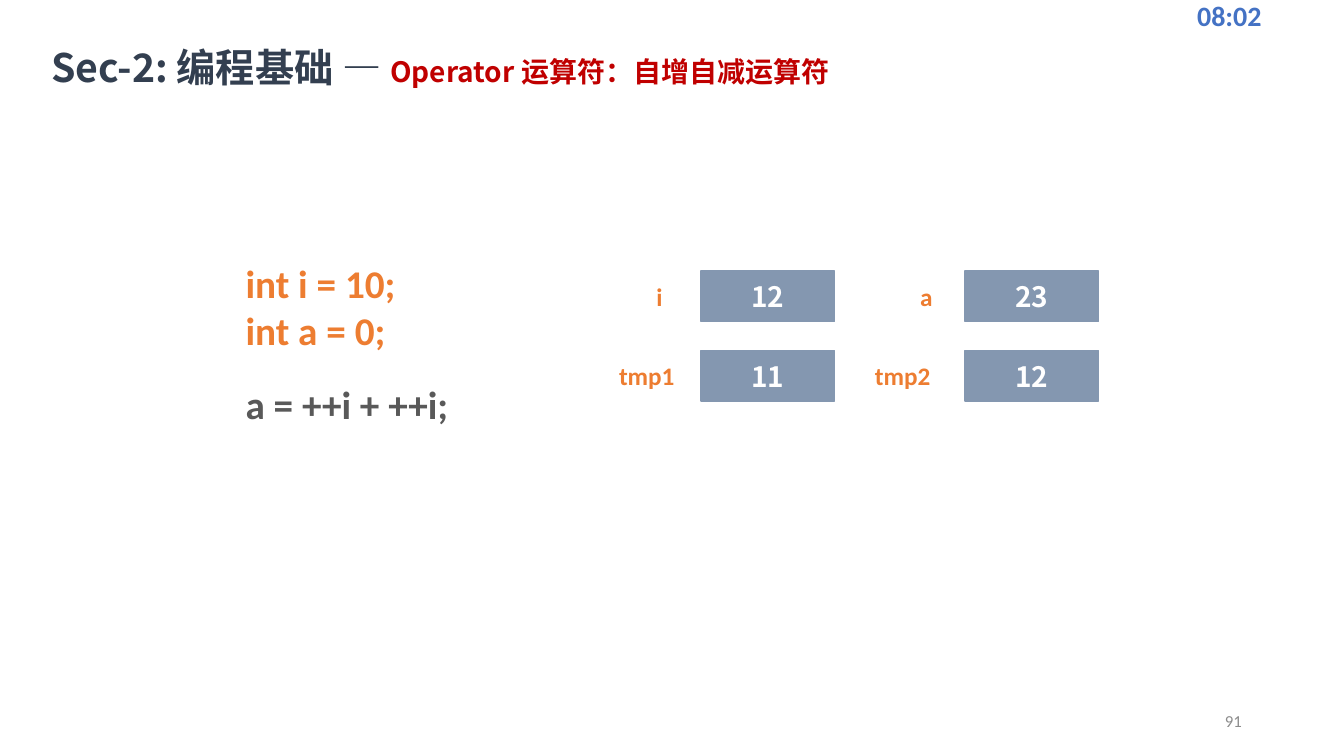
import pptx
import pptx.dml.color
import pptx.enum.shapes
import pptx.enum.text
import pptx.oxml
import pptx.oxml.ns
import pptx.util

Cm, Pt = pptx.util.Cm, pptx.util.Pt
ALIGN = pptx.enum.text.PP_ALIGN
ANCHOR = pptx.enum.text.MSO_ANCHOR
LATIN, CJK = "Calibri", "Noto Sans CJK SC"
ORANGE, SLATE = "ED7D31", "8497B0"


def rgb(value):
    return pptx.dml.color.RGBColor.from_string(value)


def add_run(p, text, size=18, color=ORANGE, bold=True, font=LATIN):
    r = p.add_run()
    r.text = text
    r.font.name, r.font.size, r.font.bold = font, Pt(size), bold
    r.font.color.rgb = rgb(color)
    if font == CJK:
        ea = pptx.oxml.parse_xml(
            f'<a:ea {pptx.oxml.ns.nsdecls("a")} typeface="{font}"/>')
        r.font._element.find(pptx.oxml.ns.qn("a:latin")).addnext(ea)


def set_frame(tf, margin_x=0.25, margin_y=0.13, anchor=ANCHOR.TOP, wrap=True):
    tf.word_wrap, tf.vertical_anchor = wrap, anchor
    tf.auto_size = pptx.enum.text.MSO_AUTO_SIZE.NONE
    tf.margin_left = tf.margin_right = Cm(margin_x)
    tf.margin_top = tf.margin_bottom = Cm(margin_y)


def add_text(s, x, y, w, h, text, align=ALIGN.LEFT, anchor=ANCHOR.TOP, **fmt):
    tf = s.shapes.add_textbox(Cm(x), Cm(y), Cm(w), Cm(h)).text_frame
    set_frame(tf, anchor=anchor)
    p = tf.paragraphs[0]
    p.alignment = align
    add_run(p, text, **fmt)
    return tf


def add_title(s):
    sp = s.shapes.title
    sp.left, sp.top, sp.width, sp.height = Cm(1.29), Cm(1.07), Cm(21.46), Cm(1.22)
    set_frame(sp.text_frame, margin_x=0, margin_y=0.03)
    p = sp.text_frame.paragraphs[0]
    p.alignment = ALIGN.LEFT
    add_run(p, "Sec-2: 编程基础 — ", size=28, color="333F50", font=CJK)
    add_run(p, "Operator 运算符：自增自减运算符", size=20, color="C00000", font=CJK)


def add_code(s):
    tf = add_text(s, 5.94, 6.4, 12.7, 4.52, "int i = 10;", size=28)
    add_run(tf.add_paragraph(), "int a = 0;", size=28)
    p = tf.add_paragraph()
    p.space_before = Pt(19.5)
    add_run(p, "a = ++i + ++i;", size=28, color="595959")


def add_variable(s, x, y, name, name_right, value):
    """Draw a memory cell with its name ending at name_right."""
    sp = s.shapes.add_shape(pptx.enum.shapes.MSO_SHAPE.RECTANGLE,
                            Cm(x), Cm(y), Cm(3.36), Cm(1.28))
    sp.shadow.inherit = False
    sp.fill.solid()
    sp.fill.fore_color.rgb = sp.line.color.rgb = rgb(SLATE)
    sp.line.width = Pt(1)
    set_frame(sp.text_frame, anchor=ANCHOR.MIDDLE)
    p = sp.text_frame.paragraphs[0]
    p.alignment = ALIGN.CENTER
    add_run(p, value, size=20, color="FFFFFF", font=CJK)
    width = 2.6
    add_text(s, name_right + 0.25 - width, y + 0.13, width, 1.02, name,
             align=ALIGN.RIGHT)


def main():
    prs = pptx.Presentation()
    prs.slide_width, prs.slide_height = Cm(33.87), Cm(19.05)
    s = prs.slides.add_slide(prs.slide_layouts[5])
    add_title(s)
    add_text(s, 29.92, -0.13, 4.52, 1.02, "08:02", anchor=ANCHOR.MIDDLE,
             size=20, color="4472C4")
    add_code(s)
    columns, rows = (17.67, 24.32), (6.83, 8.83)
    variables = [
        [("i", 16.7, "12"), ("a", 23.5, "23")],
        [("tmp1", 17, "11"), ("tmp2", 23.45, "12")],
    ]
    for y, row in zip(rows, variables):
        for x, variable in zip(columns, row):
            add_variable(s, x, y, *variable)
    add_text(s, 23.93, 17.65, 7.62, 1.02, "91", align=ALIGN.RIGHT,
             anchor=ANCHOR.MIDDLE, size=12, color="8C8C8C", bold=False)
    prs.save("out.pptx")


if __name__ == "__main__":
    main()
